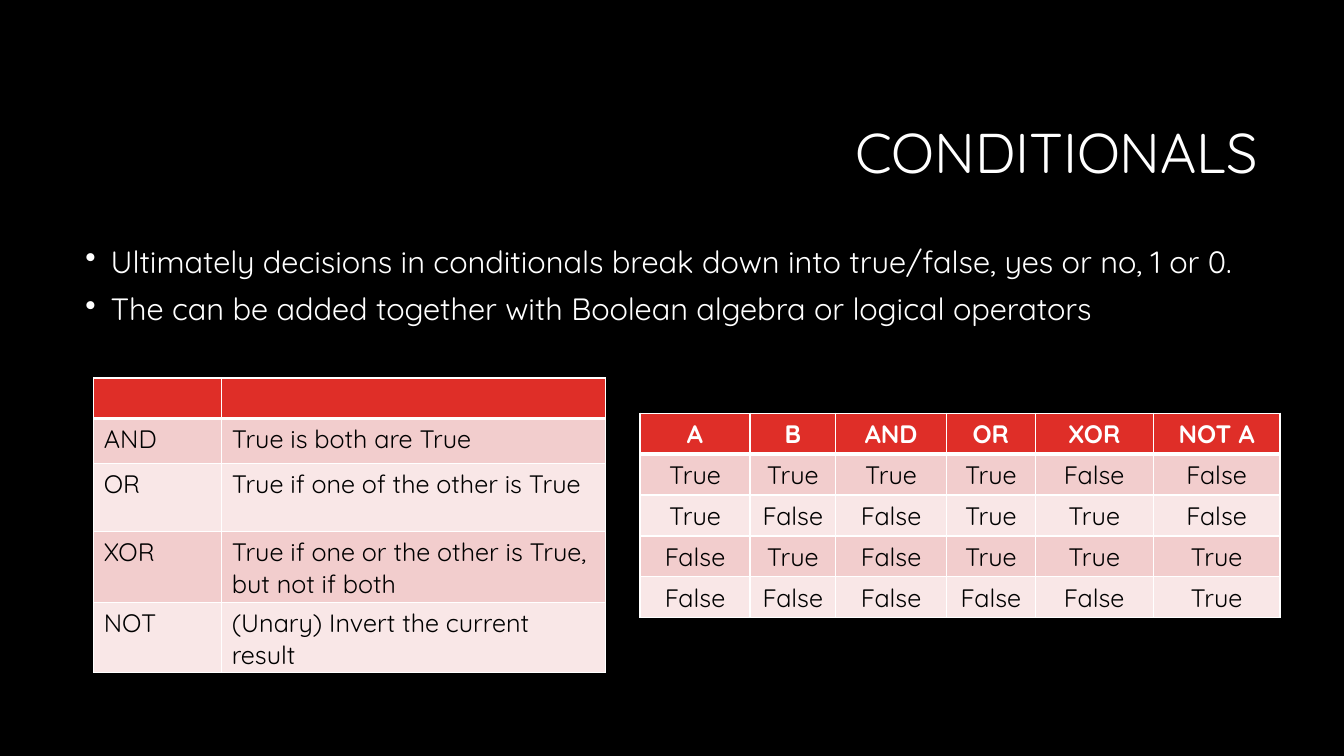
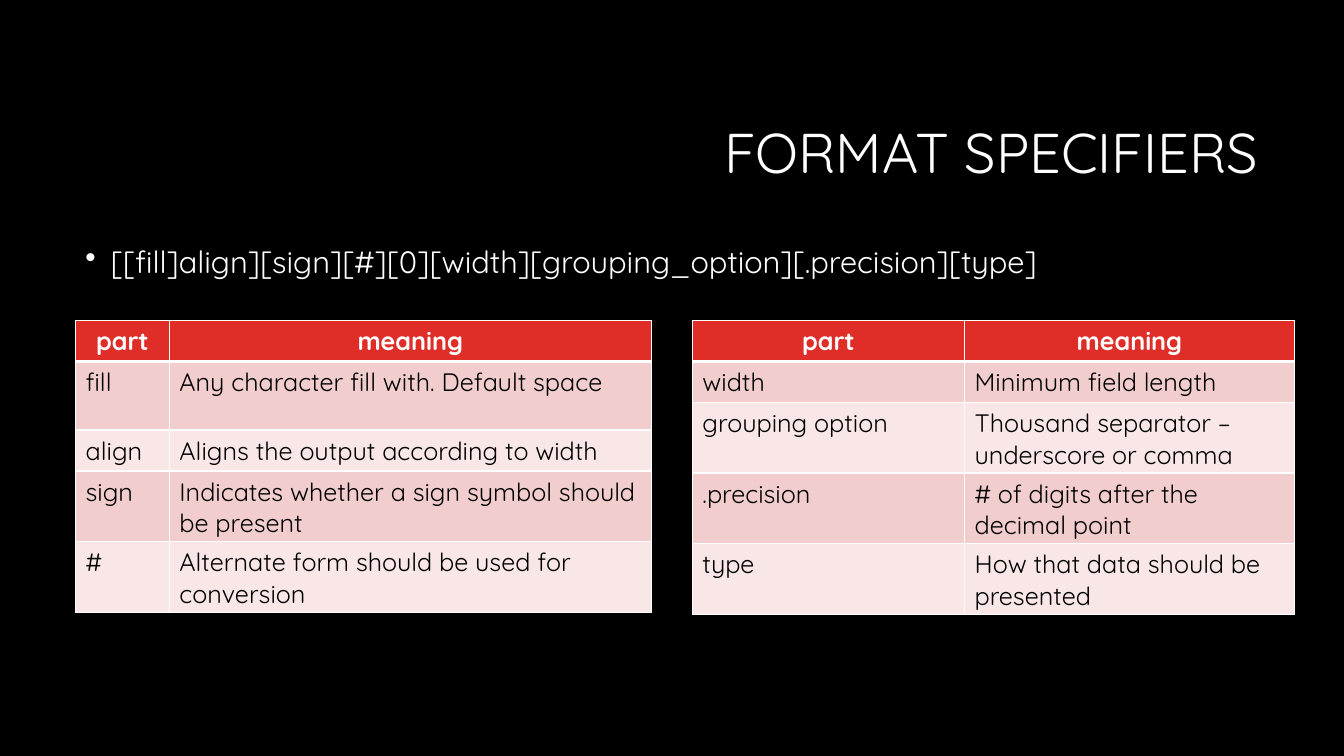
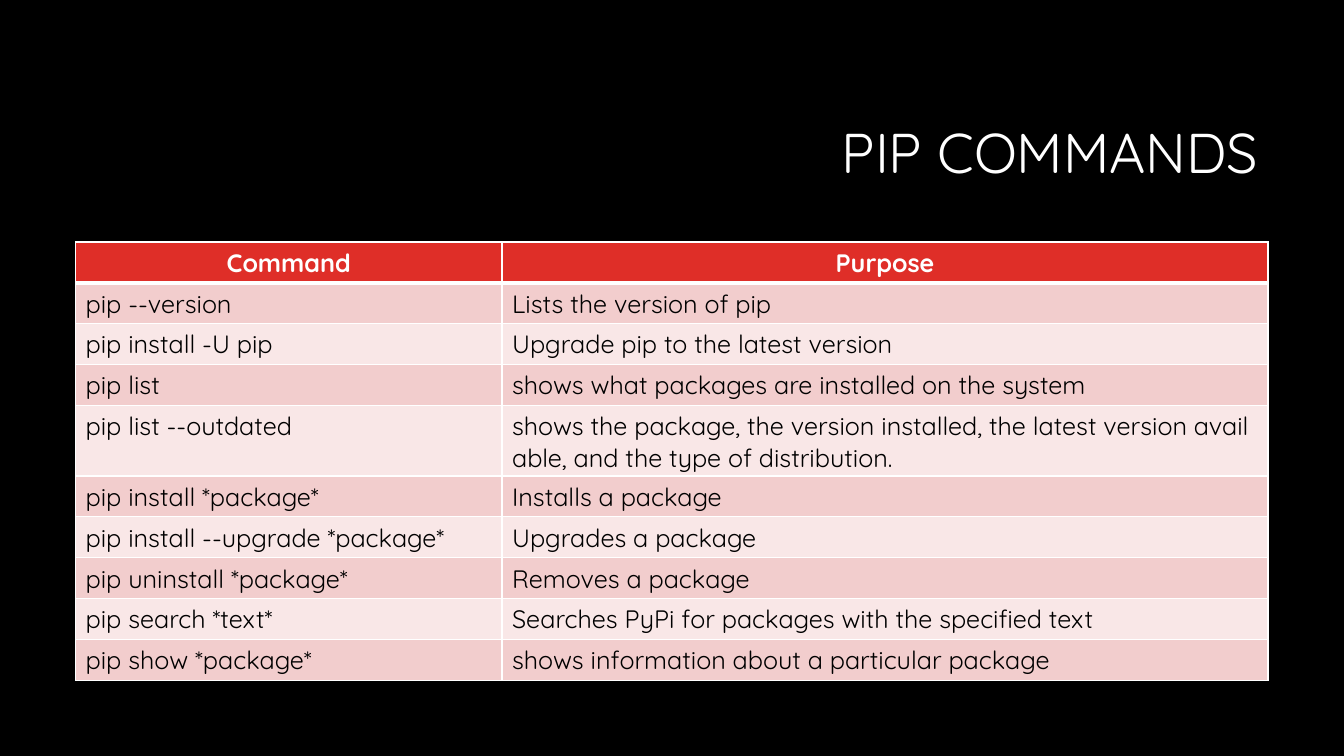
from lxml.etree import SubElement
from pptx import Presentation
from pptx.dml.color import RGBColor
from pptx.enum.text import MSO_ANCHOR as Anchor, PP_ALIGN as Align
from pptx.oxml.ns import qn
from pptx.util import Pt

FONT = "Quicksand"
BLACK, WHITE, RED = "000000", "FFFFFF", "DF2E28"
BANDS = ["F2CDCD", "F9E7E7"]
THIN, THICK = 0.96, 3
ONE_LINE, TWO_LINES = 29.2, 49
NO_BREAK = chr(160)


def color(hex_code):
    return RGBColor.from_string(hex_code)


def unbroken(text):
    return text.replace(" ", NO_BREAK)


class Deck:
    """Holds the shared style and the slide being built."""

    def __init__(self):
        self.presentation = Presentation()
        self.presentation.slide_width = Pt(960)
        self.presentation.slide_height = Pt(540)
        self.slide = None

    def add_slide(self, title):
        self.slide = self.presentation.slides.add_slide(self.presentation.slide_layouts[6])
        background = self.slide.background.fill
        background.solid()
        background.fore_color.rgb = color(BLACK)
        frame = self.text_frame(228.2, 60.5, 677.6, 101.5)
        frame.vertical_anchor = Anchor.MIDDLE
        paragraph = frame.paragraphs[0]
        paragraph.line_spacing = 0.9
        self.set_text(paragraph, title, 40, WHITE, Align.RIGHT)

    def text_frame(self, left, top, width, height):
        frame = self.slide.shapes.add_textbox(Pt(left), Pt(top), Pt(width), Pt(height)).text_frame
        frame.word_wrap = True
        return frame

    def set_text(self, paragraph, text, size, hex_code, align=Align.LEFT, bold=False):
        paragraph.text = text
        paragraph.alignment = align
        font = paragraph.font
        font.name, font.size, font.bold = FONT, Pt(size), bold
        font.color.rgb = color(hex_code)

    def bullets(self, lines):
        frame = self.text_frame(54, 172.8, 851.8, 316.8)
        for index, line in enumerate(lines):
            paragraph = frame.add_paragraph() if index else frame.paragraphs[0]
            properties = paragraph._p.get_or_add_pPr()
            properties.set("marL", str(Pt(18)))
            properties.set("indent", str(-Pt(18)))
            bullet_color = SubElement(properties, qn("a:buClr"))
            SubElement(bullet_color, qn("a:srgbClr"), val=WHITE)
            SubElement(properties, qn("a:buChar"), char="•")
            paragraph.line_spacing = 0.9
            if index:
                paragraph.space_before = Pt(10)
            self.set_text(paragraph, line, 22, WHITE)

    def borders(self, cell, top, bottom):
        properties = cell._tc.get_or_add_tcPr()
        for side, width in zip("LRTB", (THIN, THIN, top, bottom)):
            line = SubElement(properties, qn(f"a:ln{side}"), w=str(Pt(width)))
            fill = SubElement(line, qn("a:solidFill"))
            SubElement(fill, qn("a:srgbClr"), val=WHITE)

    def table(self, left, top, widths, heights, rows, align=Align.LEFT):
        table = self.slide.shapes.add_table(
            len(rows), len(widths), Pt(left), Pt(top), Pt(sum(widths)), Pt(sum(heights))
        ).table
        table.first_row = table.horz_banding = False
        for column, width in zip(table.columns, widths):
            column.width = Pt(width)
        for index, (row, height, texts) in enumerate(zip(table.rows, heights, rows)):
            row.height = Pt(height)
            header = index == 0
            for cell, text in zip(row.cells, texts):
                self.borders(cell, THICK if index == 1 else THIN, THICK if header else THIN)
                cell.fill.solid()
                cell.fill.fore_color.rgb = color(RED if header else BANDS[(index - 1) % 2])
                self.set_text(
                    cell.text_frame.paragraphs[0], text, 18, WHITE if header else BLACK,
                    Align.CENTER if header else align, header,
                )


def conditionals(deck):
    deck.add_slide("CONDITIONALS")
    deck.bullets([
        "Ultimately decisions in conditionals break down into true/false, yes or no, 1 or 0.",
        "The can be added together with Boolean algebra or logical operators",
    ])
    deck.table(67, 270, [91.4, 274.3], [27.2, 32] + [TWO_LINES] * 3, [
        ("", ""),
        ("AND", "True is both are True"),
        ("OR", "True if one of the other is True"),
        ("XOR", "True if one or the other is True, but not if both"),
        ("NOT", "(Unary) Invert the current result"),
    ])
    truth_rows = [
        (a, b, a and b, a or b, a != b, not a)
        for a in (True, False) for b in (True, False)
    ]
    deck.table(
        457.2, 295.2, [78.5, 61.2, 79.2, 63.4, 84.2, 90.7], [ONE_LINE] * 5,
        [("A", "B", "AND", "OR", "XOR", "NOT A")] + [[str(value) for value in row] for row in truth_rows],
        Align.CENTER,
    )


def format_specifiers(deck):
    deck.add_slide("FORMAT SPECIFIERS")
    deck.bullets(["[[fill]align][sign][#][0][width][grouping_option][.precision][type]"])
    header = ("part", "meaning")
    deck.table(54, 229, [67, 344.2], [ONE_LINE, TWO_LINES, ONE_LINE, TWO_LINES, TWO_LINES], [
        header,
        ("fill", "Any character fill with. Default space"),
        ("align", "Aligns the output according to width"),
        ("sign", "Indicates whether a sign symbol should be present"),
        ("#", "Alternate form should be used for conversion"),
    ])
    deck.table(494.6, 229, [194.4, 235.6], [ONE_LINE] * 2 + [TWO_LINES] * 3, [
        header,
        ("width", "Minimum field length"),
        ("grouping option", "Thousand separator – underscore or comma"),
        (".precision", "# of digits after the decimal point"),
        ("type", "How that data should be presented"),
    ])


def pip_commands(deck):
    deck.add_slide("PIP COMMANDS")
    outdated = "shows the package, the version installed, the latest version available, and the type of distribution."
    heights = [ONE_LINE] * 4 + [TWO_LINES] + [ONE_LINE] * 5
    deck.table(54, 172.8, [304.6, 547.2], heights, [
        ("Command", "Purpose"),
        *((unbroken(command), unbroken(purpose)) for command, purpose in [
            ("pip --version", "Lists the version of pip"),
            ("pip install -U pip", "Upgrade pip to the latest version"),
            ("pip list", "shows what packages are installed on the system"),
            ("pip list --outdated", outdated),
        ]),
        *((unbroken(command), purpose) for command, purpose in [
            ("pip install *package*", "Installs a package"),
            ("pip install --upgrade *package*", "Upgrades a package"),
            ("pip uninstall *package*", "Removes a package"),
            ("pip search *text*", "Searches PyPi for packages with the specified text"),
            ("pip show *package*", unbroken("shows information about a particular package")),
        ]),
    ])


def main():
    deck = Deck()
    conditionals(deck)
    format_specifiers(deck)
    pip_commands(deck)
    deck.presentation.save("out.pptx")


if __name__ == "__main__":
    main()
